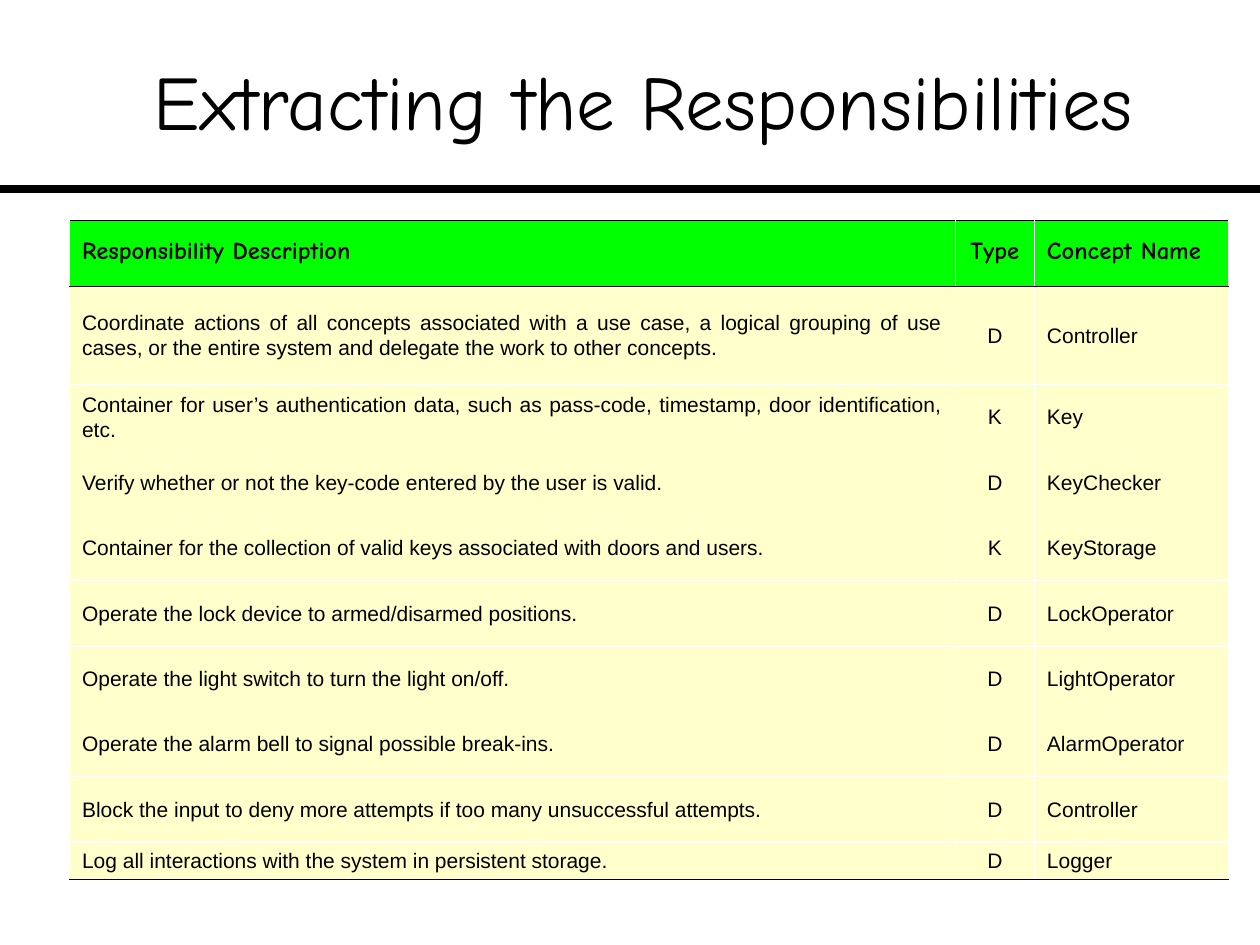
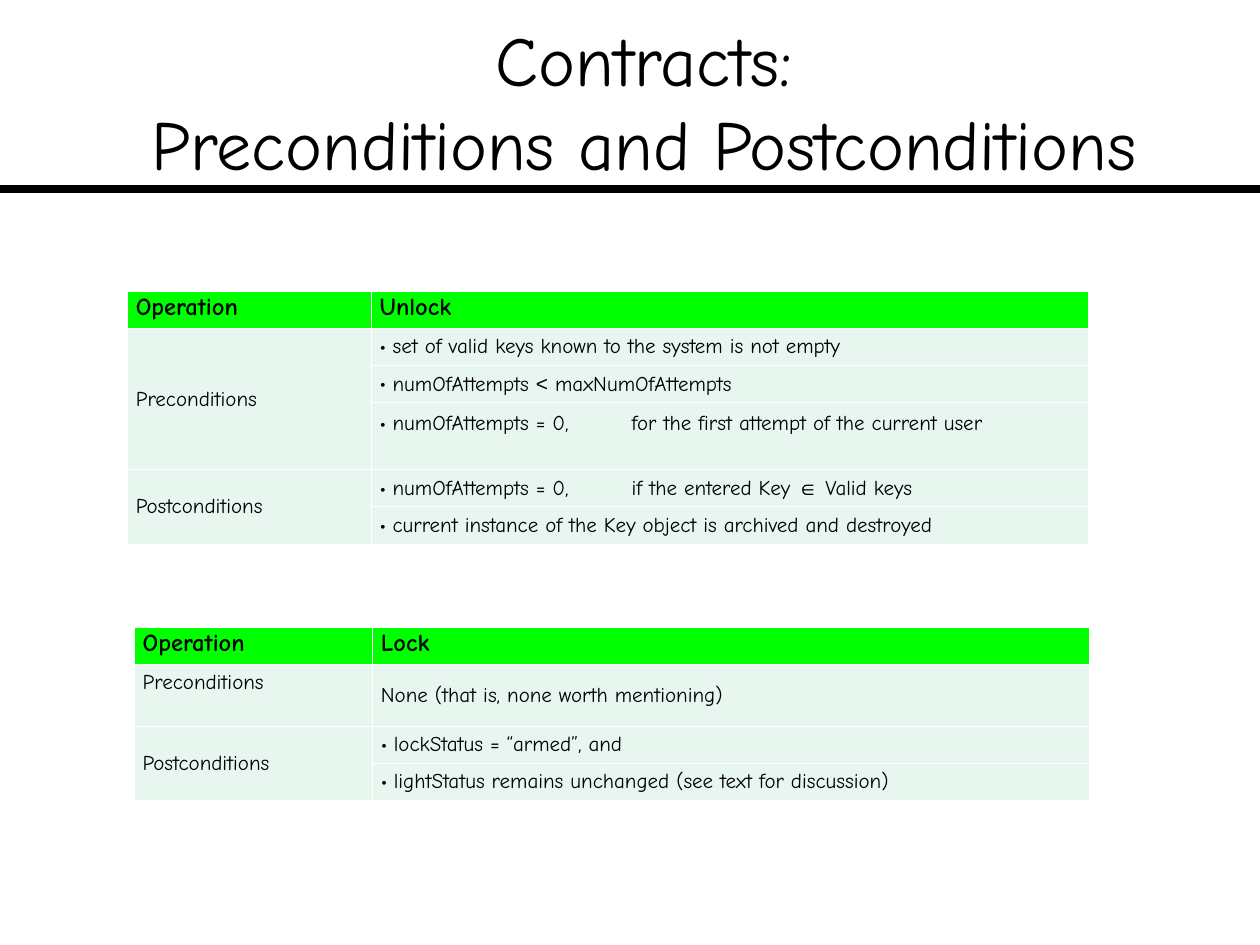
from itertools import groupby

from lxml import etree
from pptx import Presentation
from pptx.dml.color import RGBColor
from pptx.enum import shapes, text
from pptx.oxml import ns
from pptx.util import Pt

BLACK = RGBColor(0, 0, 0)
WHITE = RGBColor(255, 255, 255)
GREEN = RGBColor(0, 255, 0)
CREAM = RGBColor(255, 255, 204)
MINT = RGBColor(231, 246, 239)
COMIC, ARIAL = "Comic Neue", "Arial"
MATH = "<∈"
LEFT, MID, JUST = (text.PP_ALIGN.LEFT, text.PP_ALIGN.CENTER,
                   text.PP_ALIGN.JUSTIFY)
THIN = (WHITE, 0.45)
RULE = (BLACK, 0.45)
THICK = (WHITE, 1.47)

HEADS = ("Responsibility Description", "Type", "Concept Name")
DUTIES = [
    ("Coordinate actions of all concepts associated with a use case, a "
     "logical grouping of use cases, or the entire system and delegate the "
     "work to other concepts.", "D", "Controller"),
    ("Container for user’s authentication data, such as pass-code, "
     "timestamp, door identification, etc.", "K", "Key"),
    ("Verify whether or not the key-code entered by the user is valid.",
     "D", "KeyChecker"),
    ("Container for the collection of valid keys associated with doors "
     "and users.", "K", "KeyStorage"),
    ("Operate the lock device to armed/disarmed positions.",
     "D", "LockOperator"),
    ("Operate the light switch to turn the light on/off.",
     "D", "LightOperator"),
    ("Operate the alarm bell to signal possible break-ins.",
     "D", "AlarmOperator"),
    ("Block the input to deny more attempts if too many unsuccessful "
     "attempts.", "D", "Controller"),
    ("Log all interactions with the system in persistent storage.",
     "D", "Logger"),
]

# Each group: label, bulleted or not, conditions
CONTRACTS = [
    {"name": "Unlock", "at": (72.6, 166.4), "cols": (139.4, 410),
     "rows": (21.2, 21.2, 21.2, 38.3, 21.2, 21.2), "top": {(3, 1): 4.8},
     "groups": [
         ("Preconditions", True, [
             "set of valid keys known to the system is not empty",
             "numOfAttempts < maxNumOfAttempts",
             "numOfAttempts = 0,\tfor the first attempt of the current user",
         ]),
         ("Postconditions", True, [
             "numOfAttempts = 0,\tif the entered Key ∈ Valid keys",
             "current instance of the Key object is archived and destroyed",
         ])]},
    {"name": "Lock", "at": (76.5, 358.4), "cols": (136.2, 409.6),
     "rows": (21.2, 35.2, 21.2, 21.2), "top": {(1, 0): 3.6},
     "groups": [
         ("Preconditions", False, ["None (that is, none worth mentioning)"]),
         ("Postconditions", True, [
             "lockStatus = “armed”, and",
             "lightStatus remains unchanged (see text for discussion)",
         ])]},
]


def add_page(deck, title, size):
    page = deck.slides.add_slide(deck.slide_layouts[5])
    box = page.shapes.title
    box.left, box.top, box.width, box.height = (
        Pt(30.2), Pt(12.2), Pt(675.4), Pt(90))
    frame = box.text_frame
    frame.text = title
    frame.word_wrap = True
    frame.auto_size = text.MSO_AUTO_SIZE.NONE
    frame.vertical_anchor = text.MSO_ANCHOR.MIDDLE
    frame.margin_left = frame.margin_right = 0
    frame.margin_top = frame.margin_bottom = Pt(3.6)
    para = frame.paragraphs[0]
    para.alignment = MID
    for run in para.runs:
        style(run.font, size, COMIC)
    line = page.shapes.add_connector(
        shapes.MSO_CONNECTOR.STRAIGHT, 0, Pt(108), Pt(720), Pt(108))
    line.line.color.rgb = BLACK
    line.line.width = Pt(4.5)
    etree.SubElement(line.element.spPr, ns.qn("a:effectLst"))
    return page


def style(font, size, face, bold=False):
    font.size, font.name, font.bold = Pt(size), face, bold
    font.color.rgb = BLACK


def add_grid(page, at, cols, rows):
    shape = page.shapes.add_table(
        len(rows), len(cols), Pt(at[0]), Pt(at[1]),
        Pt(sum(cols)), Pt(sum(rows)))
    grid = shape.table
    grid.first_row = grid.horz_banding = False
    for col, width in zip(grid.columns, cols):
        col.width = Pt(width)
    for row, height in zip(grid.rows, rows):
        row.height = Pt(height)
    return grid


def dress(cell, fill, pad, above=THIN, below=THIN):
    """Set borders, fill, side margins and anchor of a cell."""
    props = cell._tc.get_or_add_tcPr()
    sides = (("L", THIN), ("R", THIN), ("T", above), ("B", below))
    for side, (color, width) in sides:
        edge = etree.SubElement(props, ns.qn(f"a:ln{side}"), w=str(Pt(width)))
        solid = etree.SubElement(edge, ns.qn("a:solidFill"))
        etree.SubElement(solid, ns.qn("a:srgbClr"), val=str(color))
    cell.fill.solid()
    cell.fill.fore_color.rgb = fill
    cell.margin_left = cell.margin_right = Pt(pad)
    cell.margin_top = cell.margin_bottom = Pt(3.6)
    cell.vertical_anchor = text.MSO_ANCHOR.MIDDLE


def write(cell, words, size, face, bold=False, align=JUST, bullet=False):
    para = cell.text_frame.paragraphs[0]
    props = para._p.get_or_add_pPr()
    if bullet:
        props.set("marL", str(Pt(7.4)))
        props.set("indent", str(-Pt(7.4)))
        etree.SubElement(props, ns.qn("a:buFont"), typeface=COMIC)
        etree.SubElement(props, ns.qn("a:buChar"), char="•")
    if "\t" in words:
        tabs = etree.SubElement(props, ns.qn("a:tabLst"))
        etree.SubElement(tabs, ns.qn("a:tab"), pos=str(Pt(144)), algn="l")
    para.alignment = align
    para.line_spacing = Pt(14)
    for sign, part in groupby(words, lambda char: char in MATH):
        run = para.add_run()
        run.text = "".join(part)
        style(run.font, size, ARIAL if sign else face, bold)


def add_duties(page):
    rows = [37.7, 56] + [37.4] * 7 + [21.2]
    last = len(rows)
    edges = {0: RULE, 1: RULE, last - 1: THICK, last: RULE}
    grid = add_grid(page, (39.7, 125.9), (506.2, 45.2, 110.8), rows)
    for r, row in enumerate([HEADS] + DUTIES):
        look = (12, ARIAL) if r else (14, COMIC, True)
        for c, words in enumerate(row):
            cell = grid.cell(r, c)
            dress(cell, CREAM if r else GREEN, 7.2,
                  edges.get(r, THIN), edges.get(r + 1, THIN))
            write(cell, words, *look, align=MID if c == 1 else JUST)


def add_contract(page, deal):
    grid = add_grid(page, deal["at"], deal["cols"], deal["rows"])
    for r in range(len(deal["rows"])):
        for c in range(2):
            dress(grid.cell(r, c), MINT if r else GREEN, 5)
    write(grid.cell(0, 0), "Operation", 14, COMIC, True, LEFT)
    write(grid.cell(0, 1), deal["name"], 14, COMIC, True)
    r = 1
    for label, bullet, items in deal["groups"]:
        head = grid.cell(r, 0)
        if len(items) > 1:
            head.merge(grid.cell(r + len(items) - 1, 0))
        write(head, label, 12, COMIC, align=LEFT)
        for item in items:
            write(grid.cell(r, 1), item, 12, COMIC, bullet=bullet)
            r += 1
    for spot, gap in deal["top"].items():
        cell = grid.cell(*spot)
        cell.vertical_anchor = text.MSO_ANCHOR.TOP
        cell.margin_top = Pt(gap)


def main():
    deck = Presentation()
    deck.slide_width, deck.slide_height = Pt(720), Pt(540)
    add_duties(add_page(deck, "Extracting the Responsibilities", 44))
    page = add_page(deck, "Contracts:\vPreconditions and Postconditions", 40)
    for deal in CONTRACTS:
        add_contract(page, deal)
    deck.save("out.pptx")


if __name__ == "__main__":
    main()
